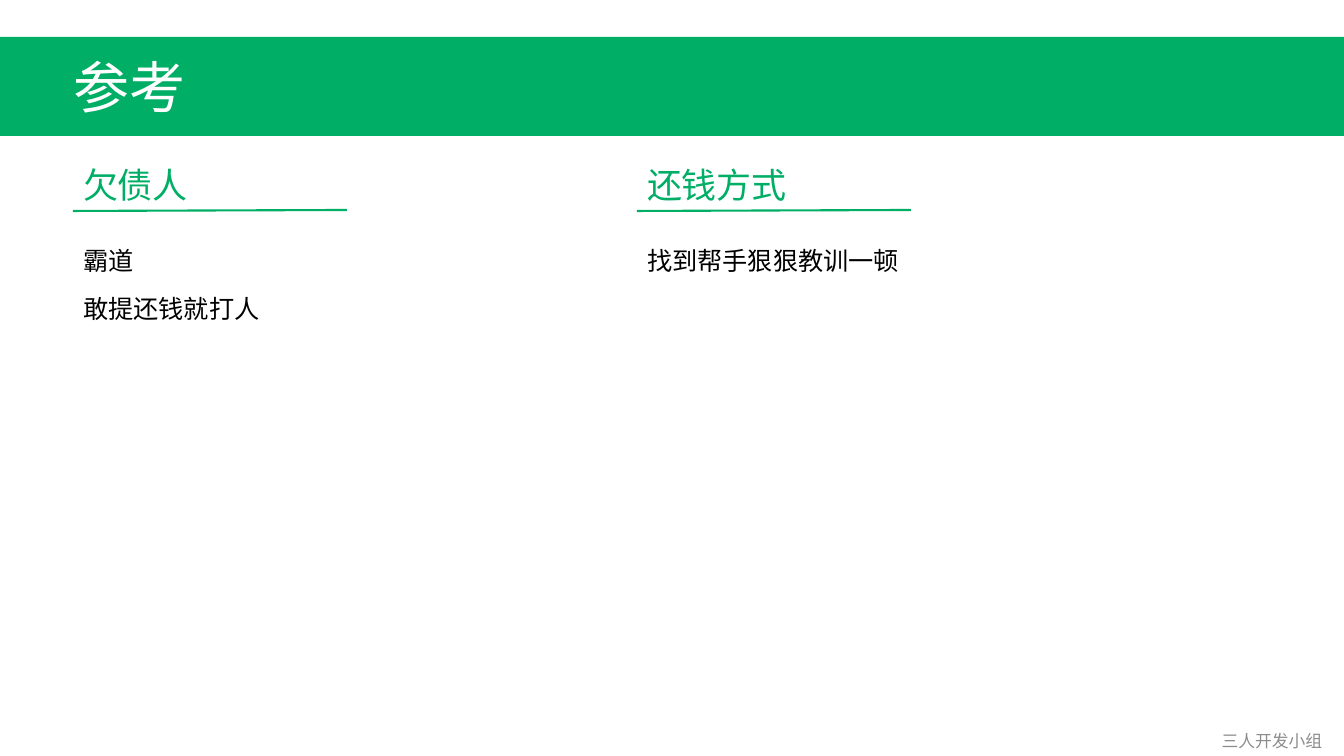
from lxml import etree
from pptx import Presentation
from pptx.dml.color import RGBColor
from pptx.enum.shapes import MSO_CONNECTOR, MSO_SHAPE
from pptx.enum.text import MSO_ANCHOR, MSO_AUTO_SIZE, PP_ALIGN
from pptx.oxml.ns import qn
from pptx.util import Pt

GREEN = RGBColor(0x00, 0xAE, 0x66)
WHITE = RGBColor(0xFF, 0xFF, 0xFF)
BLACK = RGBColor(0x00, 0x00, 0x00)
GREY = RGBColor(0x8C, 0x8C, 0x8C)


def px(*lengths):
    """Turn pixels, 100.8 to the inch, into a list of EMU."""
    return [round(n * 914400 / 100.8) for n in lengths]


def write(sp, box, lines, size, color, align=PP_ALIGN.LEFT, anchor=MSO_ANCHOR.TOP, gap=0):
    """Place a text shape and fill it with unbulleted paragraphs."""
    sp.left, sp.top, sp.width, sp.height = px(*box)
    tf = sp.text_frame
    tf.word_wrap = True
    tf.auto_size = MSO_AUTO_SIZE.NONE
    tf.vertical_anchor = anchor
    tf.text = "\n".join(lines)
    for p in tf.paragraphs:
        p.alignment = align
        p.space_before = Pt(0)
        p.space_after = Pt(gap)
        pPr = p._p.get_or_add_pPr()
        pPr.set("marL", "0")
        pPr.set("indent", "0")
        etree.SubElement(pPr, qn("a:buNone"))
        font = p.runs[0].font
        font.name, font.size, font.bold = "Calibri", Pt(size), False
        font.color.rgb = color


prs = Presentation()
prs.slide_width, prs.slide_height = px(1344, 756)
s = prs.slides.add_slide(prs.slide_layouts.get_by_name("Comparison"))
title, *bodies = s.placeholders

# Title on its green band
band = s.shapes.add_shape(MSO_SHAPE.RECTANGLE, *px(0, 37, 1344, 99))
band.shadow.inherit = False
band.fill.solid()
band.fill.fore_color.rgb = GREEN
band.line.fill.background()
title.element.addprevious(band.element)
write(title, (63, 47, 474, 78), ["参考"], 40, WHITE)

# Two columns: heading, rule and list
columns = [
    (73, "欠债人", ["霸道", "敢提还钱就打人"]),
    (637, "还钱方式", ["找到帮手狠狠教训一顿"]),
]
for (x, heading, items), head, body in zip(columns, bodies[::2], bodies[1::2]):
    write(head, (x, 158, 286, 52), [heading], 25, GREEN)
    write(body, (x, 240, 355, 95), items, 18, BLACK, gap=13)
    rule = s.shapes.add_connector(MSO_CONNECTOR.STRAIGHT, *px(x, 211, x + 274, 210))
    rule.line.color.rgb = GREEN
    rule.line.width = Pt(1.5)
    etree.SubElement(rule.element.spPr, qn("a:effectLst"))

# Team name in the corner
team = s.shapes.add_textbox(0, 0, 0, 0)
write(team, (1200, 727, 144, 27), ["三人开发小组"], 12, GREY,
      align=PP_ALIGN.CENTER, anchor=MSO_ANCHOR.MIDDLE)

prs.save("out.pptx")
